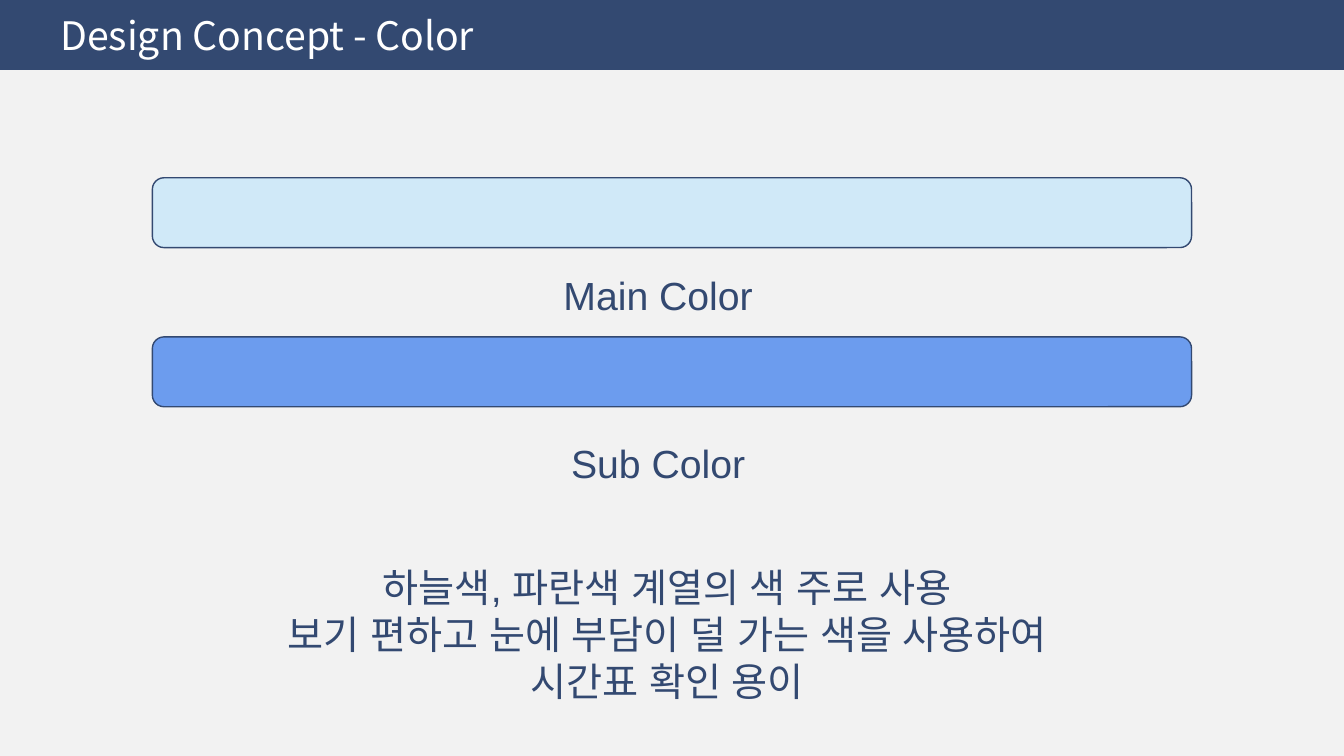
"""Build the colour concept slide with its two swatches and a rationale."""
from lxml.etree import SubElement
from pptx import Presentation
from pptx.dml.color import RGBColor
from pptx.enum.shapes import MSO_SHAPE
from pptx.enum.text import MSO_ANCHOR, MSO_AUTO_SIZE, PP_ALIGN
from pptx.oxml.ns import qn
from pptx.util import Cm, Pt

NAVY = RGBColor(0x33, 0x49, 0x71)
SKY = RGBColor(0xD0, 0xE9, 0xF8)
BLUE = RGBColor(0x6C, 0x9C, 0xEE)
PAPER = RGBColor(0xF2, 0xF2, 0xF2)
WHITE = RGBColor(0xFF, 0xFF, 0xFF)
BODY_FONT = "Arial"
TITLE_FONT = "Noto Sans CJK KR"
TEXT_SIZE = Pt(28)
SLIDE_WIDTH = Cm(33.87)
BAR_HEIGHT = Cm(1.76)

SWATCHES = [
    ("Main Color", SKY, Cm(4.48), Cm(6.71)),
    ("Sub Color", BLUE, Cm(8.49), Cm(10.95)),
]
RATIONALE = [
    "하늘색, 파란색 계열의 색 주로 사용",
    "보기 편하고 눈에 부담이 덜 가는 색을 사용하여 시간표 확인 용이",
]


def format_title(page, text):
    title = page.shapes.title
    title.left, title.top = Cm(0), Cm(0)
    title.width, title.height = SLIDE_WIDTH, BAR_HEIGHT
    title.fill.solid()
    title.fill.fore_color.rgb = NAVY
    frame = title.text_frame
    frame.text = text
    frame.margin_left = Cm(1.52)
    frame.vertical_anchor = MSO_ANCHOR.MIDDLE
    frame.auto_size = MSO_AUTO_SIZE.NONE
    para = frame.paragraphs[0]
    para.alignment = PP_ALIGN.LEFT
    para.line_spacing = 1.0
    para.font.size = TEXT_SIZE
    para.font.name = TITLE_FONT
    para.font.color.rgb = WHITE


def add_swatch(page, color, top):
    swatch = page.shapes.add_shape(
        MSO_SHAPE.ROUNDED_RECTANGLE, Cm(3.84), top, Cm(26.19), BAR_HEIGHT)
    swatch.shadow.inherit = False
    swatch.fill.solid()
    swatch.fill.fore_color.rgb = color
    swatch.line.color.rgb = NAVY
    swatch.line.width = Pt(1)


def add_centered_text(page, lines, left, top, width, height):
    box = page.shapes.add_textbox(left, top, width, height)
    frame = box.text_frame
    frame.word_wrap = True
    frame.auto_size = MSO_AUTO_SIZE.SHAPE_TO_FIT_TEXT
    frame.text = "\n".join(lines)
    for para in frame.paragraphs:
        para.alignment = PP_ALIGN.CENTER
        para.font.size = TEXT_SIZE
        para.font.name = BODY_FONT
        para.font.color.rgb = NAVY
        for span in para.runs:
            properties = span._r.get_or_add_rPr()
            SubElement(properties, qn("a:ea"), typeface=BODY_FONT)


def main():
    deck = Presentation()
    deck.slide_width, deck.slide_height = SLIDE_WIDTH, Cm(19.05)
    page = deck.slides.add_slide(deck.slide_layouts.get_by_name("Title Only"))
    page.background.fill.solid()
    page.background.fill.fore_color.rgb = PAPER
    format_title(page, "Design Concept - Color")
    for label, color, swatch_top, label_top in SWATCHES:
        add_swatch(page, color, swatch_top)
        add_centered_text(page, [label], Cm(12), label_top, Cm(9.17), Cm(1.45))
    add_centered_text(page, RATIONALE, Cm(5.59), Cm(14.07), Cm(22.45), Cm(2.64))
    deck.save("out.pptx")


if __name__ == "__main__":
    main()
